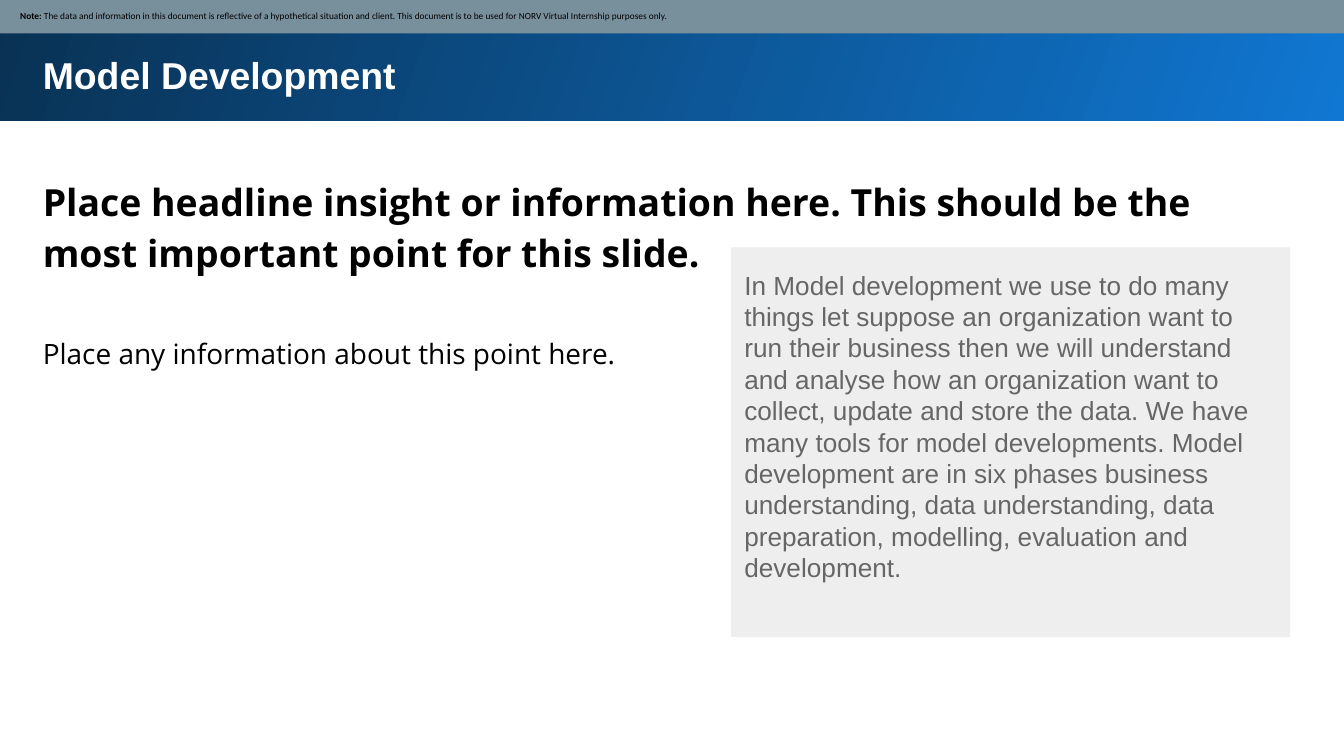
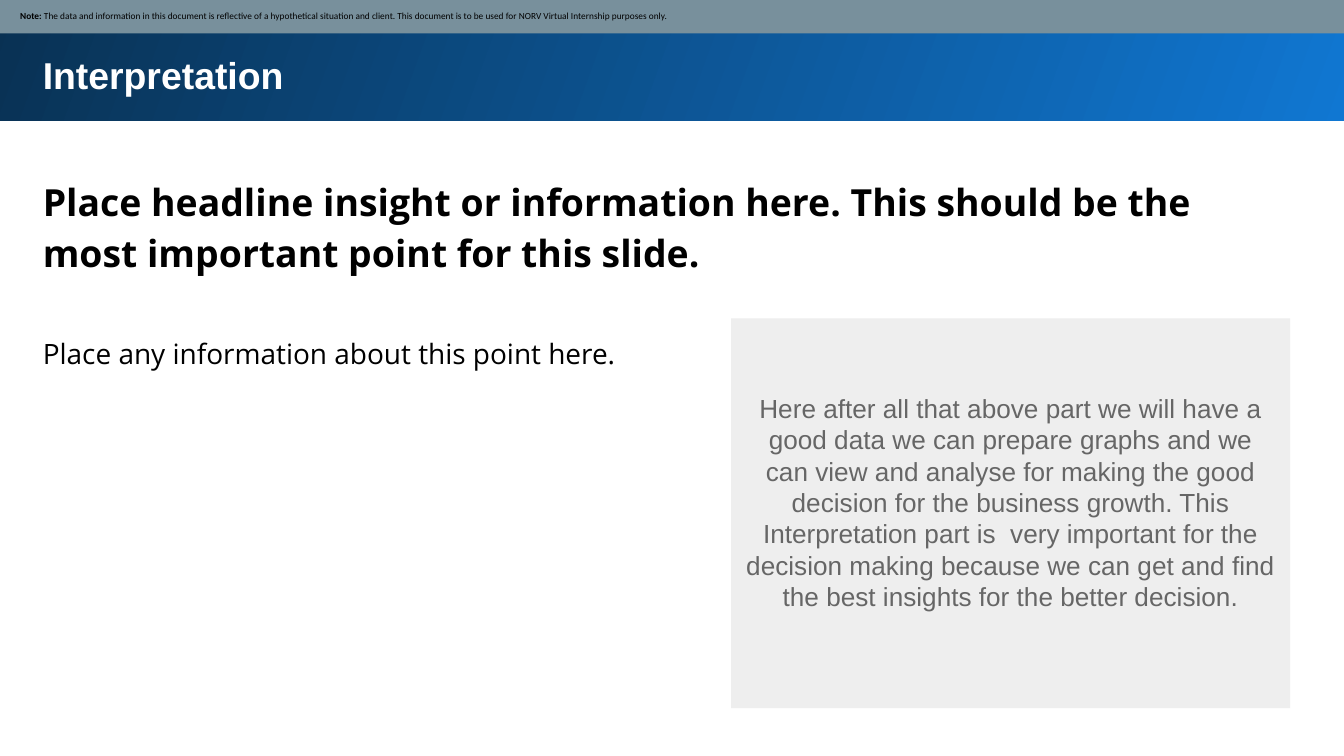
import pptx
import pptx.dml.color
import pptx.enum.shapes
import pptx.enum.text
import pptx.util

Inches = pptx.util.Inches
RGBColor = pptx.dml.color.RGBColor
ALIGN = pptx.enum.text.PP_ALIGN
ANCHOR = pptx.enum.text.MSO_ANCHOR

SLIDE_WIDTH = 10
SLIDE_HEIGHT = SLIDE_WIDTH * 9 / 16

WHITE = RGBColor(0xFF, 0xFF, 0xFF)
BLACK = RGBColor(0x00, 0x00, 0x00)
BRIGHT_BLUE = RGBColor(0x10, 0x77, 0xD2)
NAVY = RGBColor(0x09, 0x31, 0x53)
SLATE = RGBColor(0x78, 0x90, 0x9C)
PANEL_GRAY = RGBColor(0xEE, 0xEE, 0xEE)
TEXT_GRAY = RGBColor(0x66, 0x66, 0x66)

HEADLINE = ("Place headline insight or information here. "
            "This should be the most important point for this slide.")
DETAIL = "Place any information about this point here."
NOTE = ("The data and information in this document is reflective of a hypothetical "
        "situation and client. This document is to be used for NORV Virtual "
        "Internship purposes only.")

TOPICS = [
    dict(title="Model Development", title_height=0.51, panel_top=1.84,
         text_offset=0.05, text_height=2.56, align=ALIGN.LEFT,
         body="In Model development we use to do many things let suppose an "
              "organization want to run their business then we will understand and "
              "analyse how an organization want to collect, update and store the data. "
              "We have many tools for model developments. Model development are in six "
              "phases business understanding, data understanding, data preparation, "
              "modelling, evaluation and development."),
    dict(title="Interpretation", title_height=0.83, panel_top=2.37,
         text_offset=0.44, text_height=1.85, align=ALIGN.CENTER,
         body="Here after all that above part we will have a good data we can prepare "
              "graphs and we can view and analyse for making the good decision for the "
              "business growth. This Interpretation part is  very important for the "
              "decision making because we can get and find the best insights for the "
              "better decision."),
]


def add_block(shapes, box, color=None):
    block = shapes.add_shape(pptx.enum.shapes.MSO_SHAPE.RECTANGLE,
                             *(Inches(length) for length in box))
    block.shadow.inherit = False
    block.line.fill.background()
    if color is not None:
        block.fill.solid()
        block.fill.fore_color.rgb = color
    return block


def write_text(frame, text, size=14, font="Arial", color=BLACK, bold=False,
               align=ALIGN.LEFT, anchor=ANCHOR.TOP, inset=0.1, left_inset=None,
               spacing=None, lead=""):
    frame.word_wrap = True
    frame.vertical_anchor = anchor
    frame.margin_top = frame.margin_right = frame.margin_bottom = Inches(inset)
    frame.margin_left = Inches(inset if left_inset is None else left_inset)
    paragraph = frame.paragraphs[0]
    paragraph.alignment = align
    if spacing:
        paragraph.line_spacing = spacing
    for words, is_bold in ((lead, True), (text, bold)):
        if words:
            run = paragraph.add_run()
            run.text = words
            run.font.name = font
            run.font.size = pptx.util.Pt(size)
            run.font.bold = is_bold
            run.font.color.rgb = color


def add_label(shapes, box, text, **style):
    label = shapes.add_textbox(*(Inches(length) for length in box))
    write_text(label.text_frame, text, **style)
    label.text_frame.auto_size = pptx.enum.text.MSO_AUTO_SIZE.SHAPE_TO_FIT_TEXT


def add_title_band(shapes, box, title, title_height):
    left, top, width, height = box
    band = add_block(shapes, box)
    band.fill.gradient()
    band.fill.gradient_angle = 160
    for stop, position, color in zip(band.fill.gradient_stops, (0, 1),
                                     (BRIGHT_BLUE, NAVY)):
        stop.position = position
        stop.color.rgb = color
    add_label(shapes, (left + 0.24, top + 0.31, width - 0.68, title_height), title,
              size=20, color=WHITE, bold=True)


def add_insight(shapes, box):
    left, top, width, height = box
    add_label(shapes, (left, top, width, 1.01), HEADLINE,
              size=20, font="Open Sans", bold=True, spacing=1.15)
    add_label(shapes, (left, top + height - 0.48, 4.52, 0.48), DETAIL,
              size=15, font="Open Sans", spacing=1.15)


def add_body_panel(shapes, box, body, text_offset, text_height, align):
    left, top, width, height = box
    panel = shapes.add_group_shape()
    add_block(panel.shapes, box, PANEL_GRAY)
    add_label(panel.shapes, (left, top + text_offset, width, text_height), body,
              color=TEXT_GRAY, align=align, anchor=ANCHOR.MIDDLE)


def add_note_strip(shapes, box):
    strip = add_block(shapes, box, SLATE)
    write_text(strip.text_frame, NOTE, lead="Note: ", size=5, font="Calibri",
               anchor=ANCHOR.MIDDLE, inset=0.05, left_inset=0.16)


def add_topic_slide(deck, topic):
    slide = deck.slides.add_slide(deck.slide_layouts[6])
    slide.background.fill.solid()
    slide.background.fill.fore_color.rgb = WHITE
    shapes = slide.shapes
    add_title_band(shapes, (-0.02, -0.02, 10.05, 0.92),
                   topic["title"], topic["title_height"])
    add_insight(shapes, (0.22, 1.18, 9.37, 1.67))
    add_body_panel(shapes, (5.44, topic["panel_top"], 4.16, 2.9), topic["body"],
                   topic["text_offset"], topic["text_height"], topic["align"])
    add_note_strip(shapes, (-0.01, -0.01, 10.03, 0.26))


def main():
    deck = pptx.Presentation()
    deck.slide_width = Inches(SLIDE_WIDTH)
    deck.slide_height = Inches(SLIDE_HEIGHT)
    for topic in TOPICS:
        add_topic_slide(deck, topic)
    deck.save("out.pptx")


if __name__ == "__main__":
    main()
